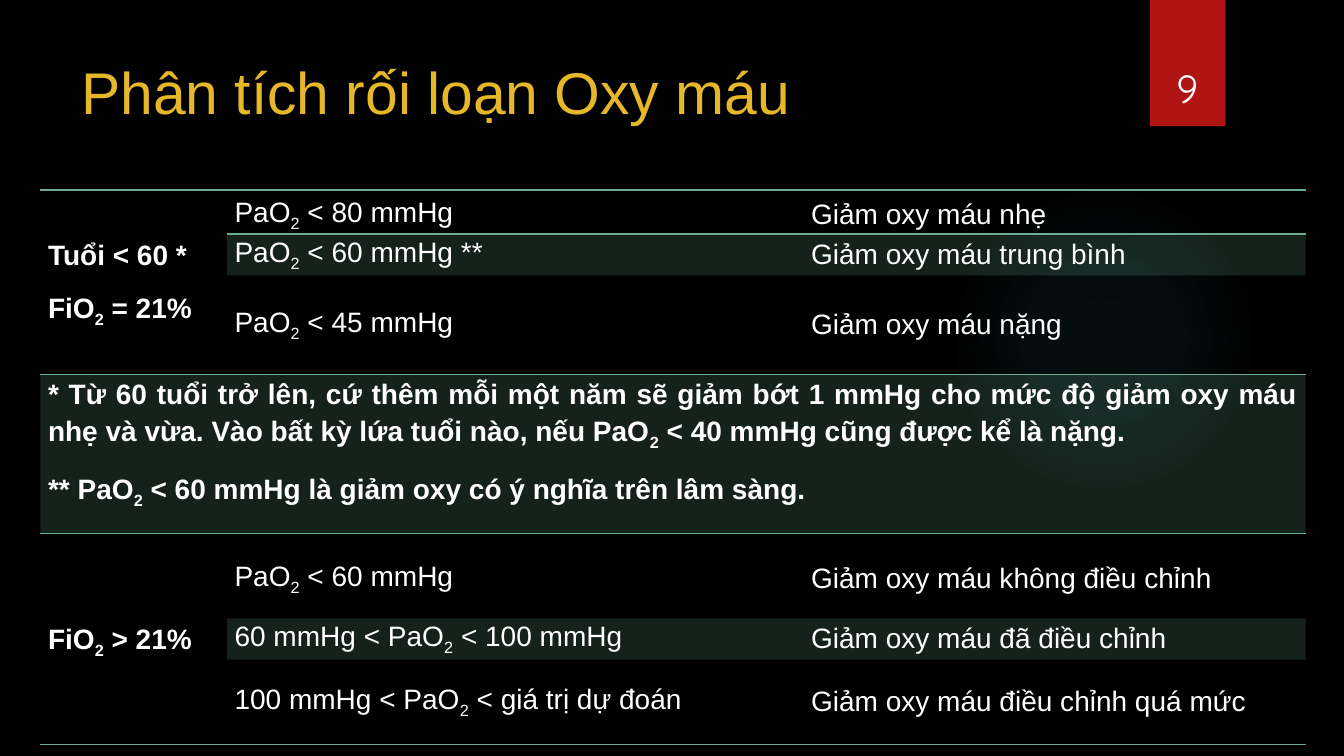
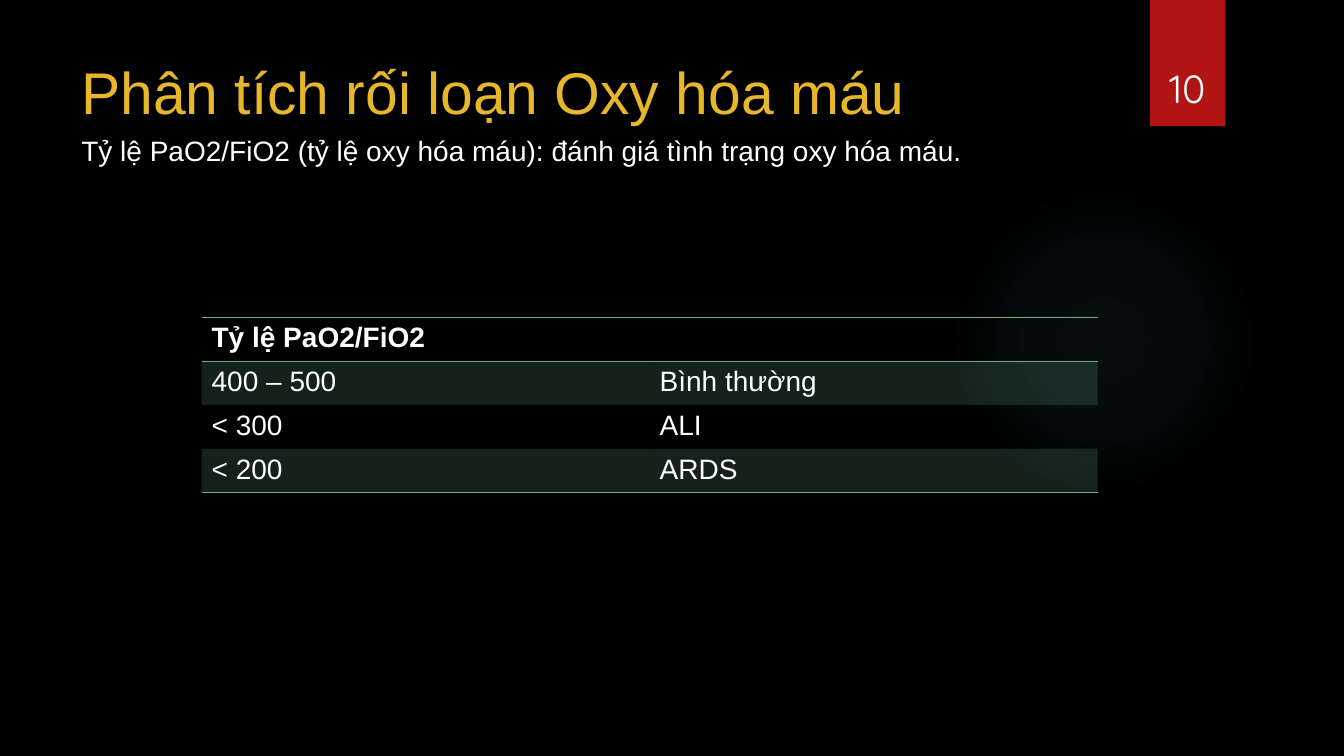
from dataclasses import dataclass, field

from pptx import Presentation
from pptx.dml.color import RGBColor as Rgb
from pptx.enum.shapes import MSO_SHAPE as Shape
from pptx.enum.text import MSO_ANCHOR as Anchor, PP_ALIGN as Align
from pptx.oxml import parse_xml
from pptx.oxml.ns import nsdecls, qn
from pptx.util import Cm, Pt

BACK, GLOW, RED, GOLD, WHITE, MINT = (
    "000000", "50B9C1", "B01513", "E6B729", "FFFFFF", "6AAC90")
NOGRID = "{2D5ABB26-0587-4C30-8999-92F81FD0307C}"

TITLE = {"size": Pt(42), "name": "Arial", "bold": False}
BODY = {"size": Pt(20), "name": "Arial", "bold": False}
HEAD = BODY | {"bold": True}
PAGE = {"size": Pt(28), "name": "Quicksand", "bold": False}


@dataclass
class Grid:
    left: float
    top: float
    cols: list[float]
    rows: list[float]
    cells: dict[tuple[int, int], str]
    bold: set[tuple[int, int]]
    lines: dict[int, str]  # sides ruled in each row: t, b
    bands: set[int]
    spans: dict[tuple[int, int], tuple[int, int]] = field(default_factory=dict)
    loose: set[int] = field(default_factory=set)
    flush: set[int] = field(default_factory=set)
    tight: bool = False


def paint(color, code: str) -> None:
    color.rgb = Rgb.from_string(code)


# Text: parts between underscores are set as subscripts
def write(frame, text: str, style: dict, code: str = WHITE,
          align=Align.LEFT, lead: float = 1.0) -> None:
    parts = text.split("\n")
    for i, line in enumerate(parts):
        para = frame.paragraphs[0] if i == 0 else frame.add_paragraph()
        para.alignment, para.line_spacing = align, lead
        if i < len(parts) - 1:
            para.space_after = Pt(12)
        for k, part in enumerate(line.split("_")):
            if not part:
                continue
            run = para.add_run()
            run.text = part
            for name, value in style.items():
                setattr(run.font, name, value)
            paint(run.font.color, code)
            if k % 2:
                run._r.get_or_add_rPr().set("baseline", "-25000")


def label(slide, box: tuple, text: str, style: dict, code: str = WHITE,
          align=Align.LEFT, anchor=Anchor.TOP) -> None:
    frame = slide.shapes.add_textbox(*map(Cm, box)).text_frame
    frame.word_wrap, frame.vertical_anchor = True, anchor
    write(frame, text, style, code, align)


# Backdrop shared by the slides
def plain(slide, kind, box: tuple):
    shape = slide.shapes.add_shape(kind, *map(Cm, box))
    shape.shadow.inherit = False
    shape.line.fill.background()
    return shape


def start(deck, title: str, page: int):
    slide = deck.slides.add_slide(deck.slide_layouts[6])
    slide.background.fill.solid()
    paint(slide.background.fill.fore_color, BACK)
    glow = plain(slide, Shape.OVAL, (23.9, 4.65, 7.82, 7.82))
    stops = "".join(
        f'<a:gs pos="{pos}000"><a:srgbClr val="{GLOW}">'
        f'<a:alpha val="{alpha}000"/></a:srgbClr></a:gs>'
        for pos, alpha in ((0, 7), (36, 6), (69, 0)))
    glow._element.spPr.find(qn("a:prstGeom")).addnext(parse_xml(
        f'<a:gradFill {nsdecls("a")}><a:gsLst>{stops}</a:gsLst>'
        '<a:path path="circle"><a:fillToRect l="50000" t="50000" '
        'r="50000" b="50000"/></a:path></a:gradFill>'))
    flag = plain(slide, Shape.RECTANGLE, (28.98, 0, 1.9, 3.18))
    flag.fill.solid()
    paint(flag.fill.fore_color, RED)
    label(slide, (1.8, 1.27, 26.14, 3.89), title, TITLE, GOLD)
    label(slide, (28.75, 0.81, 2.34, 2.13), str(page), PAGE,
          align=Align.CENTER, anchor=Anchor.BOTTOM)
    return slide


# Tables
def rule(cell, sides: str) -> None:
    props = cell._tc.get_or_add_tcPr()
    for i, side in enumerate(s for s in "tb" if s in sides):
        tag = "ln" + side.upper()
        props.insert(i, parse_xml(
            f'<a:{tag} {nsdecls("a")} w="12700"><a:solidFill>'
            f'<a:srgbClr val="{MINT}"/></a:solidFill></a:{tag}>'))


def tint(cell) -> None:
    cell.fill.solid()
    paint(cell.fill.fore_color, MINT)
    color = cell._tc.tcPr.find(qn("a:solidFill"))[0]
    color.append(parse_xml(f'<a:alpha {nsdecls("a")} val="20000"/>'))


def draw(slide, grid: Grid) -> None:
    size = (grid.left, grid.top, sum(grid.cols), sum(grid.rows))
    table = slide.shapes.add_table(
        len(grid.rows), len(grid.cols), *map(Cm, size)).table
    table.first_row = table.horz_banding = False
    table._tbl.tblPr.find(qn("a:tableStyleId")).text = NOGRID
    for col, width in zip(table.columns, grid.cols):
        col.width = Cm(width)
    for row, height in zip(table.rows, grid.rows):
        row.height = Cm(height)
    for (r, c), (high, wide) in grid.spans.items():
        table.cell(r, c).merge(table.cell(r + high - 1, c + wide - 1))
    for r in range(len(grid.rows)):
        for c in range(len(grid.cols)):
            cell = table.cell(r, c)
            if r in grid.bands and not cell.is_spanned:
                tint(cell)
            else:
                cell.fill.background()
            last = r + grid.spans.get((r, c), (1, 1))[0] - 1
            rule(cell, grid.lines.get(r, "") + grid.lines.get(last, ""))
            if grid.tight:
                cell.margin_left = cell.margin_right = Cm(0.19)
                cell.margin_top = cell.margin_bottom = 0
                if r not in grid.flush:
                    cell.vertical_anchor = Anchor.MIDDLE
            if (r, c) in grid.cells:
                write(cell.text_frame, grid.cells[r, c],
                      HEAD if (r, c) in grid.bold else BODY,
                      align=Align.JUSTIFY if r in grid.flush else Align.LEFT,
                      lead=1.15 if r in grid.loose else 1.0)


LEVELS = Grid(
    left=1.02, top=4.79, cols=[4.7, 14.53, 12.65],
    rows=[1.04, 1.04, 2.37, 4.0, 2.14, 1.04, 2.14],
    cells={
        (0, 0): "Tuổi < 60 *\nFiO_2_ = 21%",
        (0, 1): "PaO_2_ < 80 mmHg",
        (0, 2): "Giảm oxy máu nhẹ",
        (1, 1): "PaO_2_ < 60 mmHg **",
        (1, 2): "Giảm oxy máu trung bình",
        (2, 1): "PaO_2_ < 45 mmHg",
        (2, 2): "Giảm oxy máu nặng",
        (3, 0): "* Từ 60 tuổi trở lên, cứ thêm mỗi một năm sẽ giảm bớt "
                "1 mmHg cho mức độ giảm oxy máu nhẹ và vừa. Vào bất kỳ lứa "
                "tuổi nào, nếu PaO_2_ < 40 mmHg cũng được kể là nặng.\n"
                "** PaO_2_ < 60 mmHg là giảm oxy có ý nghĩa trên lâm sàng.",
        (4, 0): "FiO_2_ > 21%",
        (4, 1): "PaO_2_ < 60 mmHg",
        (4, 2): "Giảm oxy máu không điều chỉnh",
        (5, 1): "60 mmHg < PaO_2_ < 100 mmHg",
        (5, 2): "Giảm oxy máu đã điều chỉnh",
        (6, 1): "100 mmHg < PaO_2_ < giá trị dự đoán",
        (6, 2): "Giảm oxy máu điều chỉnh quá mức",
    },
    bold={(0, 0), (3, 0), (4, 0)}, lines={0: "tb", 3: "t", 6: "b"},
    bands={1, 3, 5}, spans={(0, 0): (3, 1), (3, 0): (1, 3), (4, 0): (3, 1)},
    loose={0, 3, 4}, flush={3}, tight=True)

RATIO = Grid(
    left=5.08, top=8.0, cols=[11.29] * 2, rows=[1.1] * 4,
    cells={
        (0, 0): "Tỷ lệ PaO2/FiO2",
        (1, 0): "400 – 500", (1, 1): "Bình thường",
        (2, 0): "< 300", (2, 1): "ALI",
        (3, 0): "< 200", (3, 1): "ARDS",
    },
    bold={(0, 0)}, lines={0: "tb", 3: "b"}, bands={1, 3})


def main() -> None:
    deck = Presentation()
    deck.slide_width, deck.slide_height = Cm(33.87), Cm(19.05)

    # Levels of low blood oxygen
    draw(start(deck, "Phân tích rối loạn Oxy máu", 9), LEVELS)

    # Oxygen ratio
    slide = start(deck, "Phân tích rối loạn Oxy hóa máu", 10)
    label(slide, (1.8, 3.25, 24.13, 1.11),
          "Tỷ lệ PaO2/FiO2 (tỷ lệ oxy hóa máu): "
          "đánh giá tình trạng oxy hóa máu.", BODY)
    draw(slide, RATIO)

    deck.save("out.pptx")


if __name__ == "__main__":
    main()
